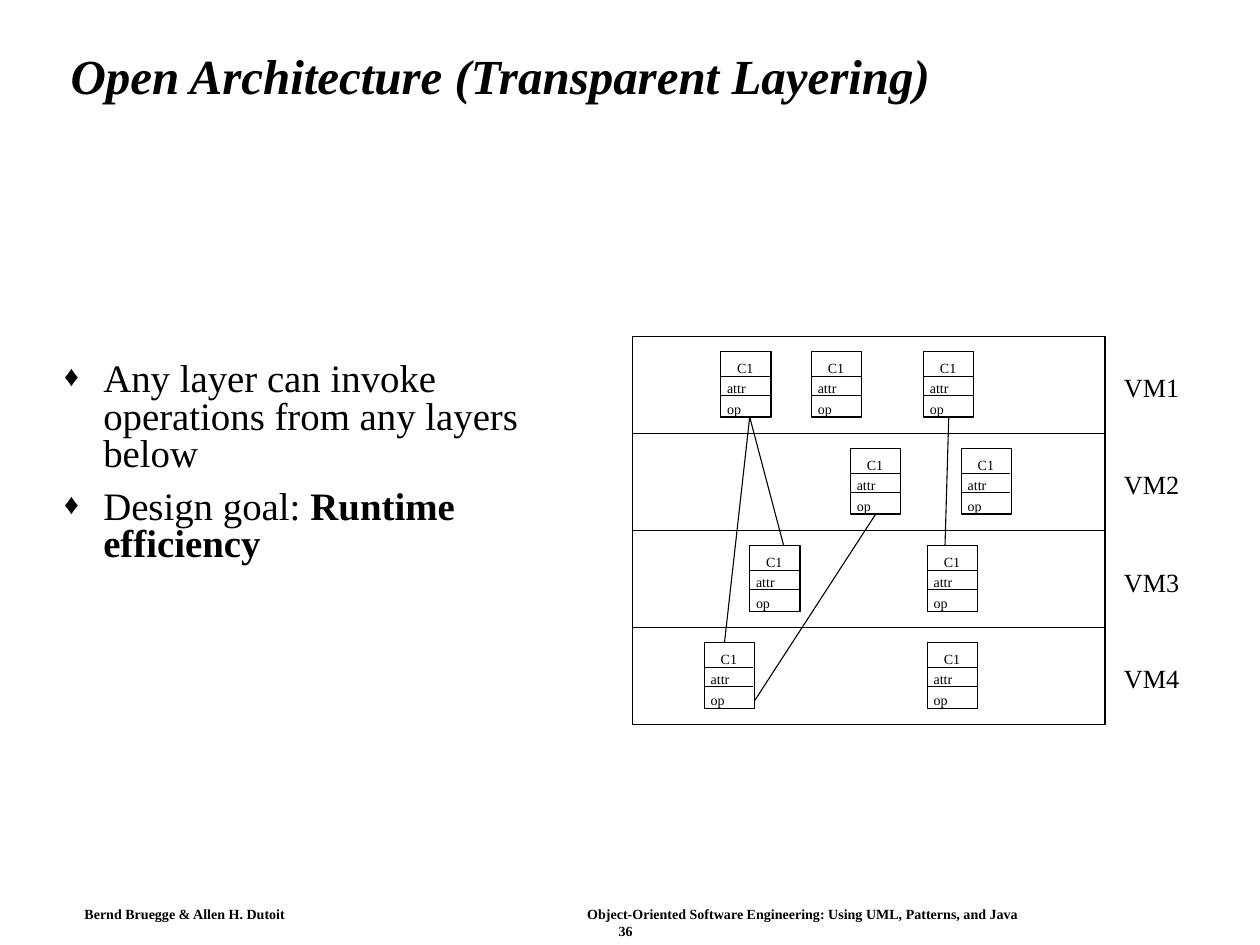
from lxml import etree
from pptx import Presentation
from pptx import util as u
from pptx.dml.color import RGBColor
from pptx.enum import shapes, text
from pptx.oxml.ns import qn

FONT = "Times New Roman"
BLACK, WHITE = "000000", "FFFFFF"
LINE_WIDTH = 0.62

TITLE = "Open Architecture (Transparent Layering)"
BULLETS = [
    [("Any layer can invoke operations from any layers below", False)],
    [("Design goal: ", False), ("Runtime efficiency", True)],
]
FOOTER = [
    ("Bernd Bruegge & Allen H. Dutoit\tObject-Oriented Software Engineering: "
     "Using UML, Patterns, and Java", 3.99),
    ("\t36", 4.24),
]
LAYERS = [
    ("VM1", [5.72, 6.44, 7.33]),
    ("VM2", [6.75, 7.63]),
    ("VM3", [5.95, 7.36]),
    ("VM4", [5.59, 7.36]),
]
CALLS = [
    (7.53, 3.31, 7.5, 4.33),
    (5.95, 3.31, 6.22, 4.33),
    (5.95, 3.31, 5.75, 5.1),
    (6.95, 4.08, 5.99, 5.56),
]
CLASS_ROWS = [("C1", 0.13, 0.06), ("attr", 0.05, 0.22), ("op", 0.05, 0.39)]
CLASS_DIVIDERS = [0.2, 0.35]
CLASS_WIDTH, CLASS_HEIGHT, CLASS_OFFSET = 0.4, 0.52, 0.12
LAYER_LEFT, LAYER_TOP, LAYER_WIDTH, LAYER_HEIGHT = 5.02, 2.67, 3.75, 0.77


def color(value):
    return RGBColor.from_string(value)


def write(paragraph, content, size, bold=False, italic=False):
    run = paragraph.add_run()
    run.text = content
    font = run.font
    font.name, font.size = FONT, u.Pt(size)
    font.bold, font.italic = bold, italic
    font.color.rgb = color(BLACK)


def place(shape, left, top, width, height):
    shape.left, shape.top = u.Inches(left), u.Inches(top)
    shape.width, shape.height = u.Inches(width), u.Inches(height)


def set_margins(frame, horizontal, vertical):
    frame.margin_left = frame.margin_right = u.Inches(horizontal)
    frame.margin_top = frame.margin_bottom = u.Inches(vertical)


def add_label(parent, content, left, top, width, height, size):
    box = parent.add_textbox(*map(u.Inches, (left, top, width, height)))
    frame = box.text_frame
    frame.word_wrap = False
    set_margins(frame, 0, 0)
    write(frame.paragraphs[0], content, size)


def add_box(parent, left, top, width, height, fill=None):
    box = parent.add_shape(shapes.MSO_SHAPE.RECTANGLE,
                           *map(u.Inches, (left, top, width, height)))
    box.shadow.inherit = False
    if fill:
        box.fill.solid()
        box.fill.fore_color.rgb = color(fill)
    else:
        box.fill.background()
    box.line.color.rgb = color(BLACK)
    box.line.width = u.Pt(LINE_WIDTH)


def add_line(parent, *ends):
    line = parent.add_connector(shapes.MSO_CONNECTOR.STRAIGHT, *map(u.Inches, ends))
    line.line.color.rgb = color(BLACK)
    line.line.width = u.Pt(LINE_WIDTH)
    etree.SubElement(line._element.spPr, qn("a:effectLst"))


def add_class(slide, left, top):
    group = slide.shapes.add_group_shape().shapes
    add_box(group, left, top, CLASS_WIDTH, CLASS_HEIGHT, WHITE)
    for offset in CLASS_DIVIDERS:
        add_line(group, left, top + offset, left + CLASS_WIDTH - 0.01, top + offset)
    for content, indent, offset in CLASS_ROWS:
        add_label(group, content, left + indent, top + offset, 0.15, 0.13, 8)


def add_title(slide):
    title = slide.shapes.title
    place(title, 0.46, 0.24, 8.92, 0.77)
    frame = title.text_frame
    frame.auto_size = text.MSO_AUTO_SIZE.NONE
    frame.vertical_anchor = text.MSO_ANCHOR.MIDDLE
    paragraph = frame.paragraphs[0]
    paragraph.alignment = text.PP_ALIGN.LEFT
    paragraph.line_spacing = 0.9
    write(paragraph, TITLE, 28, bold=True, italic=True)


def add_bullets(slide):
    body = slide.placeholders[1]
    place(body, 0.41, 2.83, 4.44, 1.74)
    frame = body.text_frame
    frame.auto_size = text.MSO_AUTO_SIZE.NONE
    for index, runs in enumerate(BULLETS):
        paragraph = frame.add_paragraph() if index else frame.paragraphs[0]
        paragraph.line_spacing = 0.8
        paragraph.space_before = u.Pt(9 if index else 0)
        properties = paragraph._p.get_or_add_pPr()
        properties.set("marL", str(u.Inches(0.31)))
        properties.set("indent", str(-u.Inches(0.31)))
        bullet_color = etree.SubElement(properties, qn("a:buClr"))
        etree.SubElement(bullet_color, qn("a:srgbClr"), val=BLACK)
        etree.SubElement(properties, qn("a:buSzPct"), val="75000")
        etree.SubElement(properties, qn("a:buFont"), typeface=FONT)
        etree.SubElement(properties, qn("a:buChar"), char="♦")
        for content, bold in runs:
            write(paragraph, content, 22.2, bold=bold)


def add_footer(slide):
    box = slide.shapes.add_textbox(*map(u.Inches, (0.59, 7.15, 8.65, 0.33)))
    frame = box.text_frame
    frame.word_wrap = True
    set_margins(frame, 0.08, 0.04)
    for index, (content, stop) in enumerate(FOOTER):
        paragraph = frame.add_paragraph() if index else frame.paragraphs[0]
        tabs = etree.SubElement(paragraph._p.get_or_add_pPr(), qn("a:tabLst"))
        etree.SubElement(tabs, qn("a:tab"), pos=str(u.Inches(stop)), algn="l")
        write(paragraph, content, 8, bold=True)


def add_layers(slide):
    tops = [LAYER_TOP + index * LAYER_HEIGHT for index in range(len(LAYERS))]
    for top, (name, _) in zip(tops, LAYERS):
        add_box(slide.shapes, LAYER_LEFT, top, LAYER_WIDTH, LAYER_HEIGHT)
        add_label(slide.shapes, name, 8.92, top + 0.28, 0.44, 0.25, 15)
    for call in CALLS:
        add_line(slide.shapes, *call)
    for top, (_, lefts) in zip(tops, LAYERS):
        for left in lefts:
            add_class(slide, left, top + CLASS_OFFSET)


def main():
    presentation = Presentation()
    presentation.slide_width, presentation.slide_height = u.Inches(10), u.Inches(7.5)
    slide = presentation.slides.add_slide(presentation.slide_layouts[1])
    add_footer(slide)
    add_title(slide)
    add_bullets(slide)
    add_layers(slide)
    presentation.save("out.pptx")


if __name__ == "__main__":
    main()
